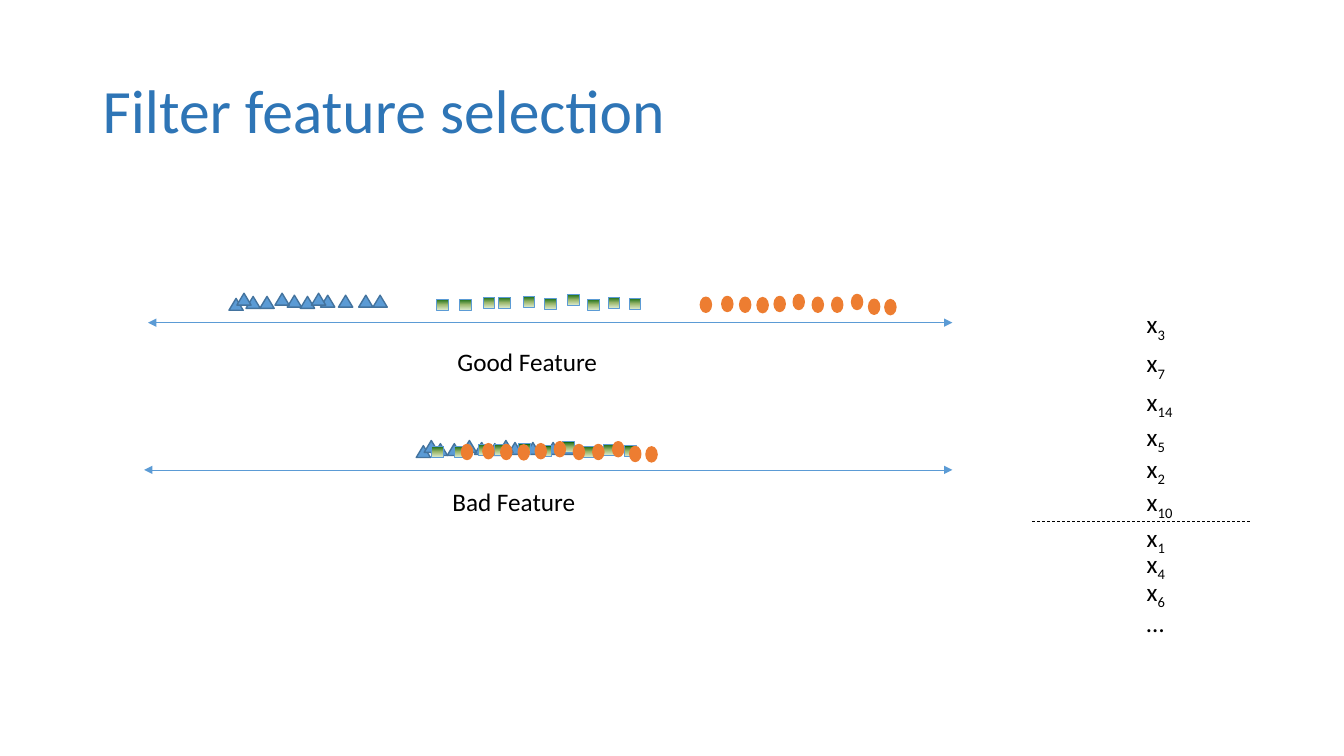
from copy import deepcopy
from pptx import Presentation
from pptx import util as u
from pptx.dml.color import RGBColor
from pptx.enum import dml, shapes, text
from pptx.oxml import ns, xmlchemy

TITLE_BLUE = RGBColor(0x2E, 0x75, 0xB6)
BLUE = RGBColor(0x5B, 0x9B, 0xD5)
DARK_BLUE = RGBColor(0x43, 0x73, 0x9E)
ORANGE = RGBColor(0xED, 0x7D, 0x31)
BLACK = RGBColor(0, 0, 0)
GREENS = [RGBColor(0xDD, 0xEB, 0xCF), RGBColor(0x9C, 0xB8, 0x6E), RGBColor(0x15, 0x6B, 0x13)]
FONT = "Calibri"

TITLE = "Filter feature selection"
TRIANGLES = [(5.77, 7.52), (6.55, 7.47), (9.40, 7.44), (8.53, 7.44), (7.57, 7.47), (8.08, 7.44),
             (6.20, 7.47), (7.24, 7.44), (9.04, 7.44), (6.93, 7.39), (7.85, 7.39), (5.97, 7.39)]
SQUARES = [(11.00, 7.54), (11.58, 7.54), (12.17, 7.49), (12.57, 7.49), (13.18, 7.47),
           (13.72, 7.52), (14.30, 7.42), (14.81, 7.54), (15.32, 7.49), (15.85, 7.52)]
CIRCLES = [(17.65, 7.49), (18.19, 7.47), (18.64, 7.49), (19.08, 7.50), (19.51, 7.47), (19.99, 7.42),
           (20.47, 7.49), (20.96, 7.49), (21.46, 7.42), (21.89, 7.54), (22.30, 7.55)]
SHAPE = shapes.MSO_SHAPE
CLASSES = [
    (SHAPE.ISOSCELES_TRIANGLE, 0.36, 0.30, BLUE, DARK_BLUE, 1, TRIANGLES),
    (SHAPE.RECTANGLE, 0.30, 0.28, GREENS, BLUE, 0.5, SQUARES),
    (SHAPE.OVAL, 0.28, 0.38, ORANGE, ORANGE, 1, CIRCLES),
]
FEATURES = [
    ("Good Feature", 11.28, 8.59, 3.73, 8.13, (0, 0, 0), 0),
    ("Bad Feature", 11.15, 12.14, 3.63, 11.84, (4.72, -0.12, -6.02), 3.71),
]
AXIS_END = 24.0
RANKING = [("x", "3", 7.65), ("x", "7", 8.64), ("x", "14", 9.60), ("x", "5", 10.49),
           ("x", "2", 11.30), ("x", "10", 12.14), ("x", "1", 13.03), ("x", "4", 13.69),
           ("x", "6", 14.40), ("…", "", 15.19)]
RANK_X = 28.65
CUTOFF = (26.01, 31.52, 13.13)


def add_line(s, x1, x2, y, color):
    line = s.shapes.add_connector(shapes.MSO_CONNECTOR.STRAIGHT, u.Cm(x1), u.Cm(y), u.Cm(x2), u.Cm(y))
    line.line.color.rgb = color
    line.line.width = u.Pt(0.5)
    xmlchemy.OxmlElement("a:effectLst")
    line._element.spPr.append(xmlchemy.OxmlElement("a:effectLst"))
    return line


def add_axis(s, x, y):
    ln = add_line(s, x, AXIS_END, y, BLUE).line._get_or_add_ln()
    for tag in ("a:headEnd", "a:tailEnd"):
        end = xmlchemy.OxmlElement(tag)
        end.set("type", "triangle")
        ln.append(end)


def add_label(s, x, y, w, words, sub="", wrap=True):
    tf = s.shapes.add_textbox(u.Cm(x), u.Cm(y), u.Cm(w), u.Cm(1.02)).text_frame
    tf.word_wrap = wrap
    p = tf.paragraphs[0]
    p.font.size, p.font.name, p.font.color.rgb = u.Pt(18), FONT, BLACK
    p.add_run().text = words
    if sub:
        r = p.add_run()
        r.text = sub
        r.font._element.set("baseline", "-25000")


def fill_gradient(sp, colors):
    sp.fill.gradient()
    sp.fill.gradient_angle = 90
    stops = sp._element.spPr.find(ns.qn("a:gradFill")).find(ns.qn("a:gsLst"))
    stops.insert(1, deepcopy(stops[0]))
    for i, (stop, color) in enumerate(zip(sp.fill.gradient_stops, colors)):
        stop.position = i / (len(colors) - 1)
        stop.color.rgb = color


def add_marker(s, kind, x, y, w, h, fill, outline, width):
    sp = s.shapes.add_shape(kind, u.Cm(x), u.Cm(y), u.Cm(w), u.Cm(h))
    sp.shadow.inherit = False
    if isinstance(fill, list):
        fill_gradient(sp, fill)
    else:
        sp.fill.solid()
        sp.fill.fore_color.rgb = fill
    sp.line.color.rgb = outline
    sp.line.width = u.Pt(width)


def main():
    prs = Presentation()
    prs.slide_width, prs.slide_height = u.Cm(33.87), u.Cm(19.05)
    s = prs.slides.add_slide(prs.slide_layouts[5])

    title = s.shapes.title
    title.left, title.top, title.width, title.height = u.Cm(2.33), u.Cm(1.01), u.Cm(29.21), u.Cm(3.68)
    title.text_frame.text = TITLE
    title.text_frame.vertical_anchor = text.MSO_ANCHOR.MIDDLE
    p = title.text_frame.paragraphs[0]
    p.alignment, p.line_spacing = text.PP_ALIGN.LEFT, 0.9
    p.font.size, p.font.name, p.font.color.rgb = u.Pt(44), FONT, TITLE_BLUE

    for name, label_x, label_y, axis_x, axis_y, shifts, dy in FEATURES:
        add_axis(s, axis_x, axis_y)
        for (kind, w, h, fill, outline, width, points), dx in zip(CLASSES, shifts):
            for x, y in points:
                add_marker(s, kind, x + dx, y + dy, w, h, fill, outline, width)
        add_label(s, label_x, label_y, 4.85, name)

    for words, sub, y in RANKING:
        add_label(s, RANK_X, y, 1.02 + 0.2 * (len(sub) > 1), words, sub, wrap=False)
    add_line(s, *CUTOFF, BLACK).line.dash_style = dml.MSO_LINE.DASH

    prs.save("out.pptx")


if __name__ == "__main__":
    main()
